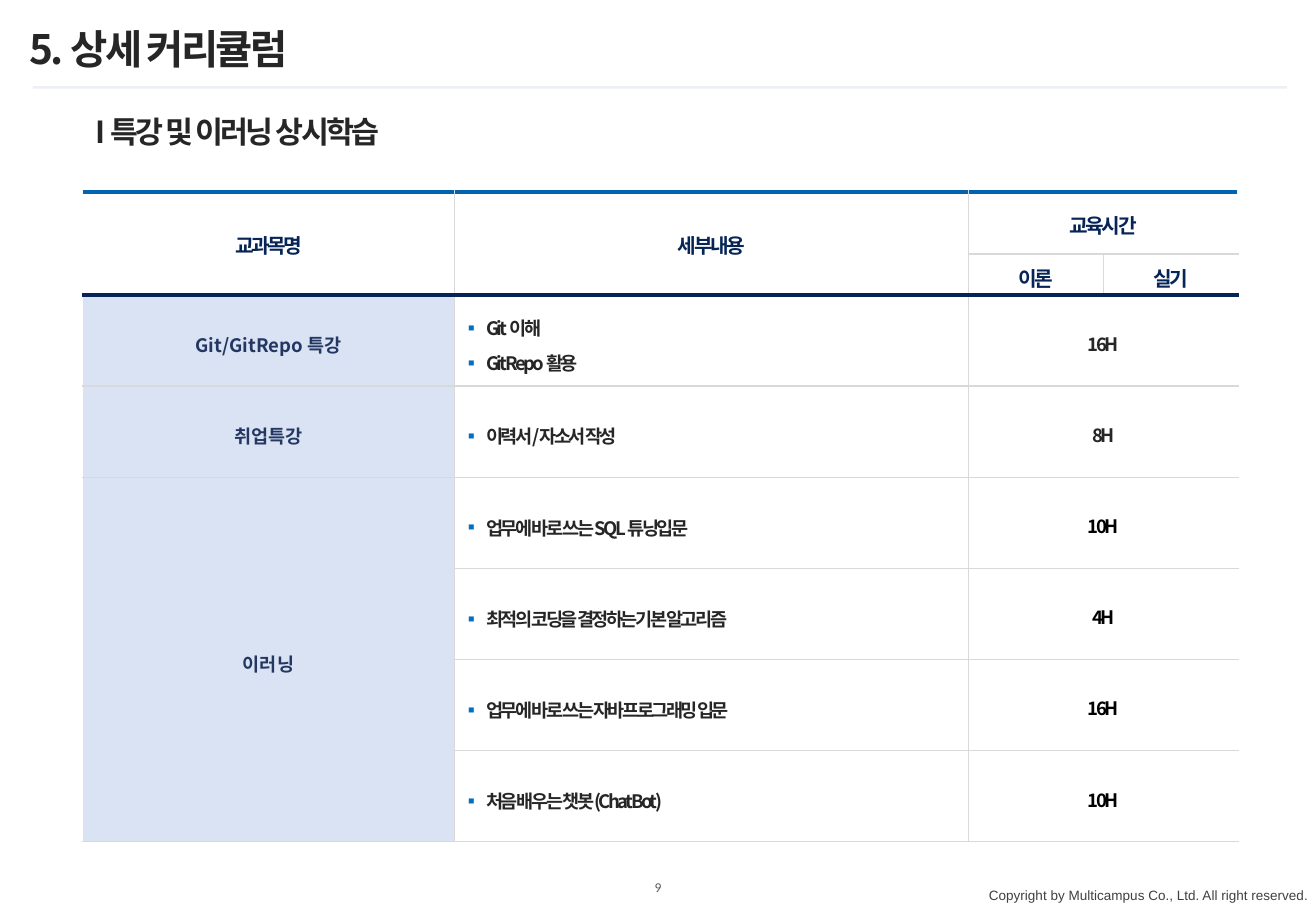
from dataclasses import dataclass
from itertools import product

from lxml import etree
from pptx import Presentation
from pptx.dml.color import RGBColor
from pptx.enum import shapes, text
from pptx.oxml import ns
from pptx.util import Inches, Pt

TITLE = "5. 상세 커리큘럼"
SECTION = "I 특강 및 이러닝 상시학습"
PAGE_NUMBER = "9"
COPYRIGHT = "Copyright by Multicampus Co., Ltd. All right reserved."
HEADINGS = [
    ("교과목명", 0, 0, 2, 1),
    ("세부내용", 0, 1, 2, 1),
    ("교육시간", 0, 2, 1, 2),
    ("이론", 1, 2, 1, 1),
    ("실기", 1, 3, 1, 1),
]
SUBJECTS = [
    ("Git/GitRepo 특강", [(["Git 이해", "GitRepo 활용"], "16H")]),
    ("취업특강", [(["이력서/자소서 작성"], "8H")]),
    ("이러닝", [
        (["업무에 바로 쓰는SQL 튜닝입문"], "10H"),
        (["최적의 코딩을 결정하는기본 알고리즘"], "4H"),
        (["업무에 바로 쓰는 자바프로그래밍 입문"], "16H"),
        (["처음 배우는 챗봇(ChatBot)"], "10H"),
    ]),
]
COLUMN_WIDTHS = [3.06, 4.23, 1.11, 1.11]
ROW_HEIGHTS = [0.51, 0.34] + [0.75] * sum(len(lessons) for _, lessons in SUBJECTS)


@dataclass(frozen=True)
class Theme:
    korean: str = "Noto Sans CJK KR"
    ink: str = "262626"
    black: str = "000000"
    navy: str = "062456"
    subject: str = "243762"
    subject_fill: str = "DAE3F3"
    blue: str = "0064B2"
    bullet: str = "0070C0"
    grid: str = "D9D9D9"
    divider: str = "ECEFF4"
    page: str = "595959"
    copyright: str = "404040"
    title_size: float = 24
    section_size: float = 18
    heading_size: float = 12
    body_size: float = 11
    footer_size: float = 8
    tight: float = -1.5


THEME = Theme()
ALIGN = text.PP_ALIGN


def add_child(parent, tag, **attributes):
    return etree.SubElement(parent, ns.qn(tag), attributes)


def style(paragraph, size, color, face=THEME.korean, bold=True, spacing=THEME.tight,
          align=ALIGN.LEFT, leading=None):
    paragraph.alignment = align
    if leading:
        paragraph.line_spacing = leading
    font = paragraph.font
    font.name, font.size, font.bold = face, Pt(size), bold
    font.color.rgb = RGBColor.from_string(color)
    properties = paragraph._p.pPr.find(ns.qn("a:defRPr"))
    properties.set("spc", str(int(spacing * 100)))
    add_child(properties, "a:ea", typeface=face)


def add_bullet(paragraph):
    properties = paragraph._p.get_or_add_pPr()
    properties.set("marL", str(Inches(0.19)))
    properties.set("indent", str(-Inches(0.19)))
    color = add_child(properties, "a:buClr")
    add_child(color, "a:srgbClr", val=THEME.bullet)
    add_child(properties, "a:buFont", typeface=THEME.korean)
    add_child(properties, "a:buChar", char="▪")


def add_label(slide, words, box, insets, anchor, **look):
    frame = slide.shapes.add_textbox(*map(Inches, box)).text_frame
    frame.word_wrap = look.pop("wrap", False)
    frame.vertical_anchor = anchor
    frame.margin_left = frame.margin_right = Inches(insets[0])
    frame.margin_top = frame.margin_bottom = Inches(insets[1])
    frame.text = words
    style(frame.paragraphs[0], **look)


def add_border(cell, side, color, width):
    line = add_child(cell._tc.get_or_add_tcPr(), f"a:ln{side}", w=str(Pt(width)))
    fill = add_child(line, "a:solidFill")
    add_child(fill, "a:srgbClr", val=color)


def row_rule(edge):
    return {0: (THEME.blue, 2.25), 2: (THEME.navy, 2.25)}.get(edge, (THEME.grid, 1))


def fill_block(table, lines, row, col, rows=1, cols=1, fill=None, bullets=False,
               insets=(0.07, 0.02), **look):
    bottom, right = row + rows, col + cols
    for r, c in product(range(row, bottom), range(col, right)):
        cell = table.cell(r, c)
        origin = (r, c) == (row, col)
        if col > 0 and c == col:
            add_border(cell, "L", THEME.grid, 1)
        if right < len(COLUMN_WIDTHS) and (origin or c == right - 1):
            add_border(cell, "R", THEME.grid, 1)
        if r == row:
            add_border(cell, "T", *row_rule(row))
        if origin or r == bottom - 1:
            add_border(cell, "B", *row_rule(bottom))
        if fill:
            cell.fill.solid()
            cell.fill.fore_color.rgb = RGBColor.from_string(fill)
        else:
            cell.fill.background()
    first = table.cell(row, col)
    if rows * cols > 1:
        first.merge(table.cell(bottom - 1, right - 1))
    first.vertical_anchor = text.MSO_ANCHOR.MIDDLE
    first.margin_left = first.margin_right = Inches(insets[0])
    first.margin_top = first.margin_bottom = Inches(insets[1])
    first.text = "\n".join(lines)
    for paragraph in first.text_frame.paragraphs:
        if bullets:
            add_bullet(paragraph)
        style(paragraph, **look)


def add_curriculum(slide):
    frame = slide.shapes.add_table(
        len(ROW_HEIGHTS), len(COLUMN_WIDTHS), Inches(0.68), Inches(1.58),
        Inches(sum(COLUMN_WIDTHS)), Inches(sum(ROW_HEIGHTS)))
    table = frame.table
    table.first_row = table.horz_banding = False
    for column, width in zip(table.columns, COLUMN_WIDTHS):
        column.width = Inches(width)
    for table_row, height in zip(table.rows, ROW_HEIGHTS):
        table_row.height = Inches(height)

    for heading, *place in HEADINGS:
        fill_block(table, [heading], *place, insets=(0.1, 0.05), size=THEME.heading_size,
                   color=THEME.navy, align=ALIGN.CENTER, leading=1.1)
    row = 2
    for subject, lessons in SUBJECTS:
        fill_block(table, [subject], row, 0, rows=len(lessons), fill=THEME.subject_fill,
                   size=THEME.body_size, color=THEME.subject, spacing=0,
                   align=ALIGN.CENTER, leading=1.3)
        hours_color = THEME.black if len(lessons) > 1 else THEME.ink
        for topics, hours in lessons:
            fill_block(table, topics, row, 1, bullets=True, size=THEME.body_size,
                       color=THEME.ink, leading=1.3)
            fill_block(table, [hours], row, 2, cols=2, size=THEME.body_size,
                       color=hours_color, align=ALIGN.CENTER, leading=1.2)
            row += 1


def main():
    deck = Presentation()
    deck.slide_width, deck.slide_height = Inches(10.83), Inches(7.5)
    slide = deck.slides.add_slide(deck.slide_layouts[5])
    middle = text.MSO_ANCHOR.MIDDLE

    title = slide.shapes.title
    title.left, title.top, title.width, title.height = map(Inches, (0.14, 0.12, 9.5, 0.61))
    title.text_frame.text = TITLE
    title.text_frame.word_wrap = False
    title.text_frame.auto_size = text.MSO_AUTO_SIZE.NONE
    title.text_frame.vertical_anchor = middle
    style(title.text_frame.paragraphs[0], THEME.title_size, THEME.ink, leading=0.9)

    divider = slide.shapes.add_shape(
        shapes.MSO_SHAPE.RECTANGLE, *map(Inches, (0.27, 0.71, 10.32, 0.02)))
    divider.shadow.inherit = False
    divider.fill.solid()
    divider.fill.fore_color.rgb = RGBColor.from_string(THEME.divider)
    divider.line.fill.background()

    add_label(slide, SECTION, (0.69, 0.92, 4.55, 0.37), (0.1, 0.05), text.MSO_ANCHOR.TOP,
              wrap=True, size=THEME.section_size, color=THEME.ink, leading=0.9)
    add_curriculum(slide)
    add_label(slide, PAGE_NUMBER, (5.26, 7.22, 0.31, 0.17), (0, 0), middle,
              size=THEME.footer_size, color=THEME.page, face="Calibri", bold=False,
              spacing=0, align=ALIGN.CENTER)
    add_label(slide, COPYRIGHT, (8.11, 7.25, 2.66, 0.24), (0, 0.05), middle,
              size=THEME.footer_size, color=THEME.copyright, face="Arial", bold=False,
              spacing=0, align=ALIGN.RIGHT)
    deck.save("out.pptx")


if __name__ == "__main__":
    main()
